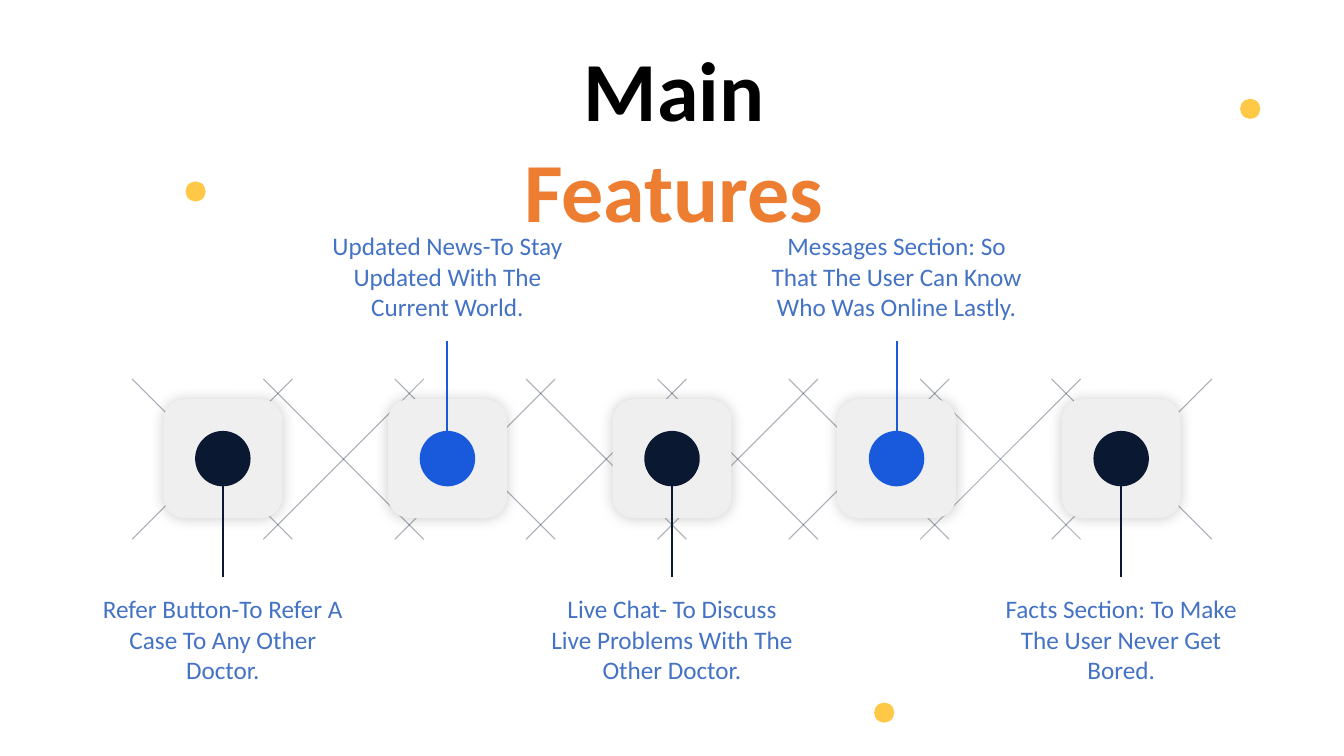
import lxml.etree
import pptx
import pptx.dml.color
import pptx.enum.shapes
import pptx.enum.text
import pptx.oxml.ns
import pptx.util

Inches = pptx.util.Inches
qn = pptx.oxml.ns.qn
SHAPES = pptx.enum.shapes.MSO_SHAPE
STRAIGHT = pptx.enum.shapes.MSO_CONNECTOR.STRAIGHT
NAVY, BLUE, YELLOW, GREY = "0A1931", "185ADB", "FFC947", "EFEFEF"
TEXT_BLUE, ORANGE, BLACK = "4472C4", "ED7D31", "000000"


def color(hex_string):
    return pptx.dml.color.RGBColor.from_string(hex_string)


def write(shape, text, size=18, fill=TEXT_BLUE, bold=False):
    """Append a run to the first paragraph of a centred, wrapping box."""
    frame = shape.text_frame
    frame.word_wrap = True
    frame.auto_size = pptx.enum.text.MSO_AUTO_SIZE.SHAPE_TO_FIT_TEXT
    frame.vertical_anchor = pptx.enum.text.MSO_ANCHOR.TOP
    paragraph = frame.paragraphs[0]
    paragraph.alignment = pptx.enum.text.PP_ALIGN.CENTER
    run = paragraph.add_run()
    run.text = text
    run.font.name = "Calibri"
    run.font.size = pptx.util.Pt(size)
    run.font.bold = bold
    run.font.color.rgb = color(fill)


presentation = pptx.Presentation()
presentation.slide_width = Inches(13.33)
presentation.slide_height = Inches(7.5)
slide = presentation.slides.add_slide(presentation.slide_layouts[5])
shapes = slide.shapes

# Title
title = shapes.title
title.left, title.top = Inches(4.21), Inches(0.32)
title.width, title.height = Inches(4.95), Inches(1.11)
write(title, "Main ", size=60, fill=BLACK, bold=True)
write(title, "Features", size=60, fill=ORANGE, bold=True)

# Lines as (x1, y1, x2, y2, colour, width, opacity): crossing lattice first
features = [
    "Refer Button-To Refer A Case To Any Other Doctor.",
    "Updated News-To Stay Updated With The Current World.",
    "Live Chat- To Discuss Live Problems With The Other Doctor.",
    "Messages Section: So That The User Can Know Who Was Online Lastly.",
    "Facts Section: To Make The User Never Get Bored.",
]
middle = 4.55
pitch = 8.91 / 4
centers = [2.21 + index * pitch for index in range(len(features))]
lattice = []
for index in range(8):
    left = 1.31 + index * 9.12 / 7
    right = left + 1.59
    lattice.append((left, 3.76, right, 5.35, NAVY, 0.75, 35))
    lattice.append((right, 3.76, left, 5.35, NAVY, 0.75, 35))
stems = []
for index, center in enumerate(centers):
    upward = index % 2 == 1
    stem_end = 3.38 if upward else 5.72
    stems.append((center, middle, center, stem_end, BLUE if upward else NAVY, 1.5, 100))

# Filled shapes as (preset, centre x, centre y, size, colour)
tiles = [(SHAPES.ROUNDED_RECTANGLE, center, middle, 1.18, GREY) for center in centers]
dots = [(SHAPES.OVAL, stem[0], middle, 0.55, stem[4]) for stem in stems]
accents = [(SHAPES.OVAL, x, y, 0.2, YELLOW) for x, y in [(1.94, 1.9), (12.4, 1.08), (8.77, 7.07)]]

# Draw the lattice, then tiles and dots, then the stems on top
for lines, filled in [(lattice, tiles + dots + accents), (stems, [])]:
    for x1, y1, x2, y2, stroke, width, opacity in lines:
        line = shapes.add_connector(STRAIGHT, Inches(x1), Inches(y1), Inches(x2), Inches(y2))
        line.line.color.rgb = color(stroke)
        line.line.width = pptx.util.Pt(width)
        properties = line._element.spPr
        if opacity < 100:
            stroke_color = properties.find(".//" + qn("a:srgbClr"))
            lxml.etree.SubElement(stroke_color, qn("a:alpha"), val=str(opacity * 1000))
        lxml.etree.SubElement(properties, qn("a:effectLst"))

    for preset, x, y, size, fill in filled:
        shape = shapes.add_shape(
            preset, Inches(x - size / 2), Inches(y - size / 2), Inches(size), Inches(size))
        shape.fill.solid()
        shape.fill.fore_color.rgb = color(fill)
        shape.line.fill.background()
        shape.shadow.inherit = False
        if preset == SHAPES.ROUNDED_RECTANGLE:
            shape.adjustments[0] = 0.18
            effects = shape._element.spPr.find(qn("a:effectLst"))
            glow = lxml.etree.SubElement(
                effects, qn("a:outerShdw"), blurRad=str(pptx.util.Pt(10)), dist="0", dir="0",
                algn="ctr", rotWithShape="0")
            glow_color = lxml.etree.SubElement(glow, qn("a:srgbClr"), val=BLACK)
            lxml.etree.SubElement(glow_color, qn("a:alpha"), val="20000")

# Captions alternate below and above the row of tiles
for index, feature in enumerate(features):
    top = 2.24 if index % 2 else 5.84
    caption = shapes.add_textbox(
        Inches(0.85 + index * pitch), Inches(top), Inches(2.72), Inches(1.01))
    write(caption, feature)

presentation.save("out.pptx")
